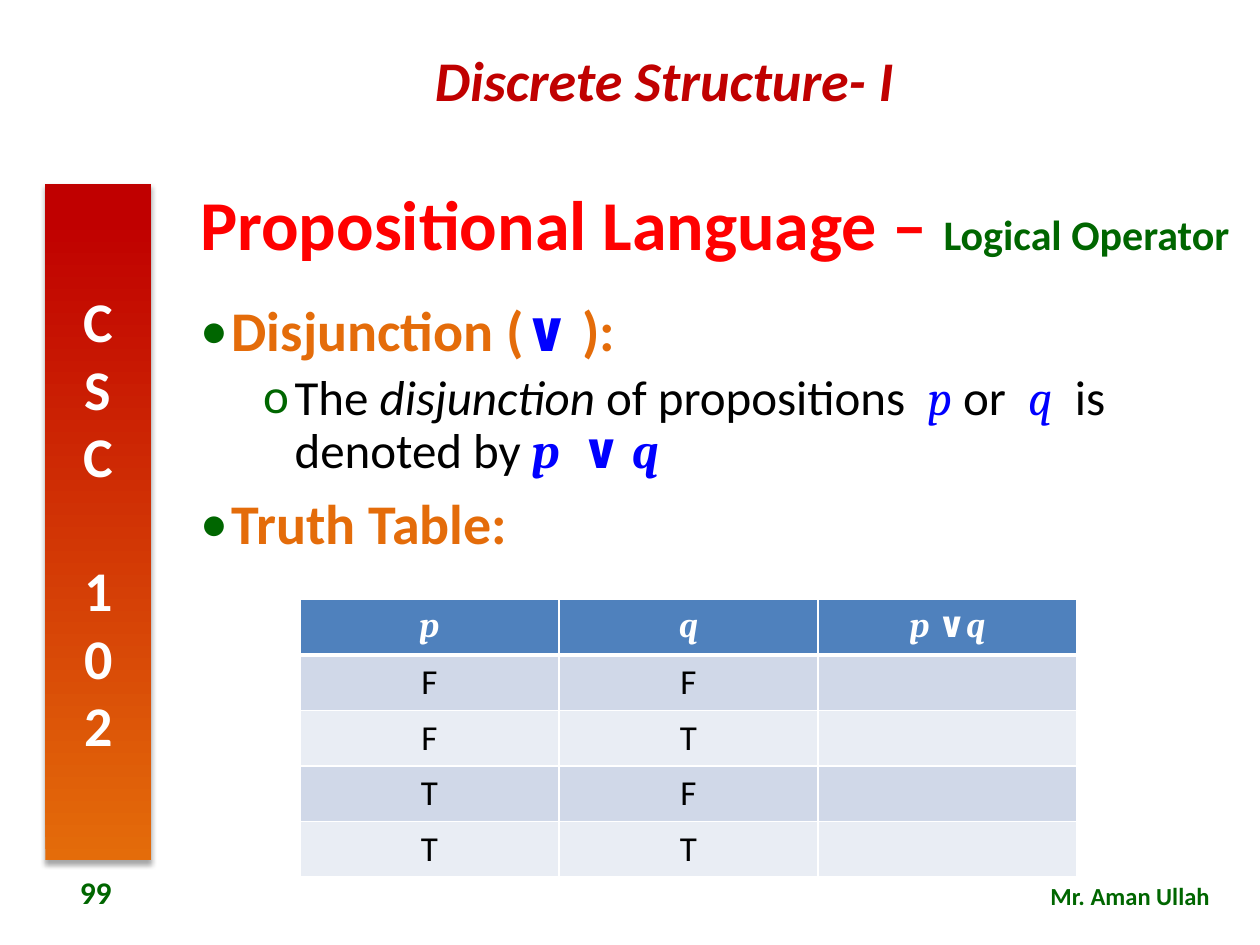
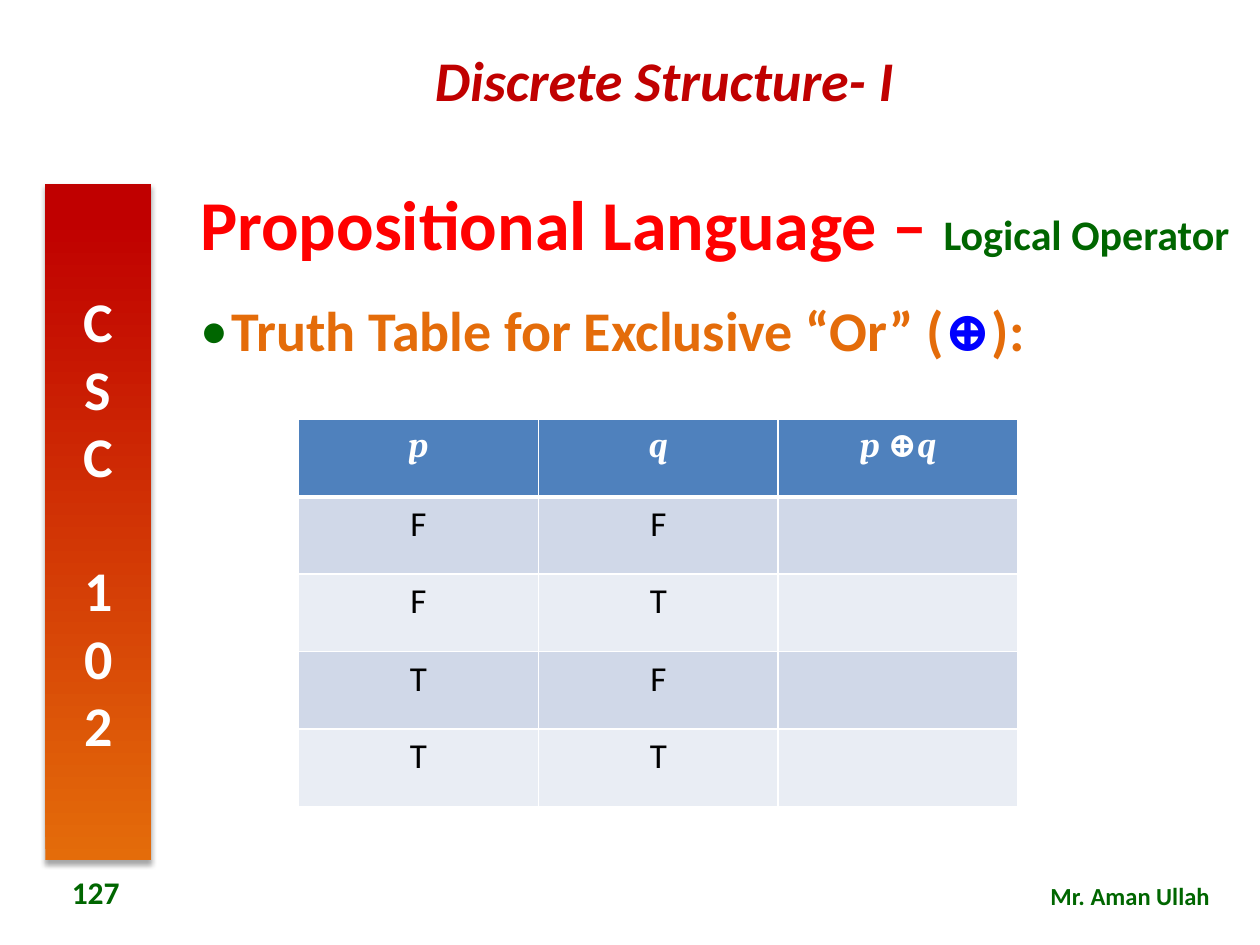
import pptx
import pptx.util
import pptx.dml.color
import pptx.enum.shapes
import pptx.enum.text
import pptx.oxml
from pptx.oxml.ns import nsdecls

Inches, Pt = pptx.util.Inches, pptx.util.Pt
ALIGN = pptx.enum.text.PP_ALIGN
ANCHOR = pptx.enum.text.MSO_ANCHOR

COLORS = {
    "crimson": "C00000", "red": "FF0000", "orange": "E46C0A",
    "green": "006600", "blue": "0000FF", "black": "000000",
    "white": "FFFFFF", "header": "4F81BD",
    "odd_row": "D0D8E8", "even_row": "E9EDF4",
}
HEADING = dict(size=32, bold=True, color="orange")
PLAIN = dict(size=28, color="black")
MATH = dict(font="Cambria", color="blue")
VARIABLE = dict(size=28, italic=True, **MATH)
HEADER_CELL = dict(size=20, font="Cambria", color="white", bold=True)

# The same inputs head both truth tables
INPUTS = [("F", "F"), ("F", "T"), ("T", "F"), ("T", "T")]


def rgb(name):
    return pptx.dml.color.RGBColor.from_string(COLORS[name])


def xml(markup):
    """Parse a drawing element whose tag is the first word of the markup."""
    tag, rest = markup[1:].split(" ", 1)
    return pptx.oxml.parse_xml(f"<{tag} {nsdecls('a')} {rest}")


def write(paragraph, text, size=20, color="black", font="Calibri",
          bold=False, italic=False):
    run = paragraph.add_run()
    run.text = text
    run.font.size = Pt(size)
    run.font.name = font
    run.font.bold = bold
    run.font.italic = italic
    run.font.color.rgb = rgb(color)


def add_box(slide, box, anchor=ANCHOR.TOP, align=ALIGN.LEFT):
    """Add an empty wrapping text box and return its text frame."""
    frame = slide.shapes.add_textbox(*map(Inches, box)).text_frame
    frame.word_wrap = True
    frame.vertical_anchor = anchor
    frame.paragraphs[0].alignment = align
    return frame


def add_bullet(frame, runs, level=0, align=ALIGN.LEFT):
    first = not frame.paragraphs[0].runs
    paragraph = frame.paragraphs[0] if first else frame.add_paragraph()
    paragraph.level = level
    paragraph.alignment = align
    properties = paragraph._p.get_or_add_pPr()
    properties.set("marL", str(Inches(0.25 + 0.5 * level)))
    properties.set("indent", str(Inches(-0.25)))
    properties.append(xml(f'<a:buClr ><a:srgbClr val="{COLORS["green"]}"/></a:buClr>'))
    properties.append(xml('<a:buFont typeface="Calibri"/>'))
    properties.append(xml(f'<a:buChar char="{"•o"[level]}"/>'))
    paragraph.line_spacing = 0.9
    if not first:
        paragraph.space_before = Pt(5 if level else 10)
    for text, style in runs:
        write(paragraph, text, **style)


# Vertical course band on the left
def add_course_band(slide, box):
    band = slide.shapes.add_shape(
        pptx.enum.shapes.MSO_SHAPE.RECTANGLE, *map(Inches, box))
    band.shadow.inherit = False
    band.line.fill.background()
    band.fill.gradient()
    band.fill.gradient_angle = 90
    stops = zip(band.fill.gradient_stops, ((0, "orange"), (0.95, "crimson")))
    for stop, (position, color) in stops:
        stop.position = position
        stop.color.rgb = rgb(color)
    band._element.spPr.find(pptx.oxml.ns.qn("a:effectLst")).append(xml(
        f'<a:outerShdw blurRad="{Pt(3.1)}" dist="{Pt(1.8)}" dir="5400000" '
        'rotWithShape="0"><a:srgbClr val="000000"><a:alpha val="35000"/>'
        '</a:srgbClr></a:outerShdw>'))
    frame = band.text_frame
    frame._txBody.bodyPr.set("vert", "wordArtVert")
    frame.paragraphs[0].alignment = ALIGN.CENTER
    write(frame.paragraphs[0], "CSC 102", size=32, color="white", bold=True)


# Course name, band, slide title and footer
def add_frame(slide, number):
    course = add_box(slide, (2.11, 0.31, 6.33, 0.64), align=ALIGN.CENTER)
    write(course.paragraphs[0], "Discrete Structure- I", size=32,
          color="crimson", bold=True, italic=True)

    add_course_band(slide, (0.36, 1.46, 0.84, 5.37))

    title = add_box(slide, (1.49, 1.36, 8.39, 0.89), ANCHOR.MIDDLE).paragraphs[0]
    title.line_spacing = 0.9
    write(title, "Propositional Language – ", size=40, color="red", bold=True)
    write(title, "Logical Operator", size=24, color="green", bold=True)

    author = add_box(slide, (6.8, 6.94, 2.9, 0.34), align=ALIGN.RIGHT)
    write(author.paragraphs[0], "Mr. Aman Ullah", size=14, color="green", bold=True)
    page = add_box(slide, (0.24, 6.88, 1.04, 0.4), ANCHOR.MIDDLE, ALIGN.CENTER)
    write(page.paragraphs[0], str(number), size=18, color="green", bold=True)


def add_body(slide, bullets):
    frame = add_box(slide, (1.49, 2.36, 8.39, 4.4))
    for bullet in bullets:
        add_bullet(frame, **bullet)


def style_cell(cell, color, top, bottom):
    cell.fill.solid()
    cell.fill.fore_color.rgb = rgb(color)
    properties = cell._tc.get_or_add_tcPr()
    sides = {"lnL": 1, "lnR": 1, "lnT": top, "lnB": bottom}
    for place, (side, width) in enumerate(sides.items()):
        properties.insert(place, xml(
            f'<a:{side} w="{Pt(width)}"><a:solidFill><a:srgbClr '
            f'val="{COLORS["white"]}"/></a:solidFill></a:{side}>'))


# Truth table with an empty result column
def add_truth_table(slide, box, operator):
    rows = len(INPUTS) + 1
    table = slide.shapes.add_table(rows, 3, *map(Inches, box)).table
    for column in table.columns:
        column.width = Inches(box[2] / 3)
    for index, row in enumerate(table.rows):
        row.height = Inches(box[3] / rows)
        color = "header" if index == 0 else "odd_row" if index % 2 else "even_row"
        for cell in row.cells:
            style_cell(cell, color, top=3 if index == 1 else 1,
                       bottom=3 if index == 0 else 1)
            cell.text_frame.paragraphs[0].alignment = ALIGN.CENTER

    for column, parts in enumerate((["p"], ["q"], ["p ", operator, "q"])):
        paragraph = table.cell(0, column).text_frame.paragraphs[0]
        for part in parts:
            write(paragraph, part, italic=part != operator, **HEADER_CELL)
    for index, values in enumerate(INPUTS, start=1):
        for column, value in enumerate(values):
            write(table.cell(index, column).text_frame.paragraphs[0], value)


def add_operator_slide(deck, number, bullets, table_box, operator):
    slide = deck.slides.add_slide(deck.slide_layouts[6])
    add_frame(slide, number)
    add_body(slide, bullets)
    add_truth_table(slide, table_box, operator)


def main():
    deck = pptx.Presentation()
    deck.slide_width, deck.slide_height = Inches(10), Inches(7.5)
    symbol = dict(HEADING, **MATH)
    bold_variable = dict(VARIABLE, bold=True)

    disjunction = [
        dict(align=ALIGN.JUSTIFY, runs=[
            ("Disjunction (", HEADING), ("∨", symbol), (" ):", HEADING)]),
        dict(level=1, runs=[
            ("The ", PLAIN), ("disjunction", dict(PLAIN, italic=True)),
            (" of propositions  ", PLAIN), ("p", VARIABLE), (" or  ", PLAIN),
            ("q ", VARIABLE), (" is denoted by ", PLAIN),
            ("p  ", bold_variable), ("∨ ", dict(bold_variable, italic=False)),
            ("q", bold_variable)]),
        dict(runs=[("Truth Table:", HEADING)]),
    ]
    add_operator_slide(deck, 99, disjunction, (2.38, 4.76, 6.17, 2.2), "∨")

    exclusive_or = [
        dict(align=ALIGN.JUSTIFY, runs=[
            ("Truth Table for Exclusive “Or” (", HEADING),
            ("⊕", symbol), ("):", HEADING)]),
    ]
    add_operator_slide(deck, 127, exclusive_or, (2.37, 3.33, 5.71, 3.07), "⊕")

    deck.save("out.pptx")


if __name__ == "__main__":
    main()
